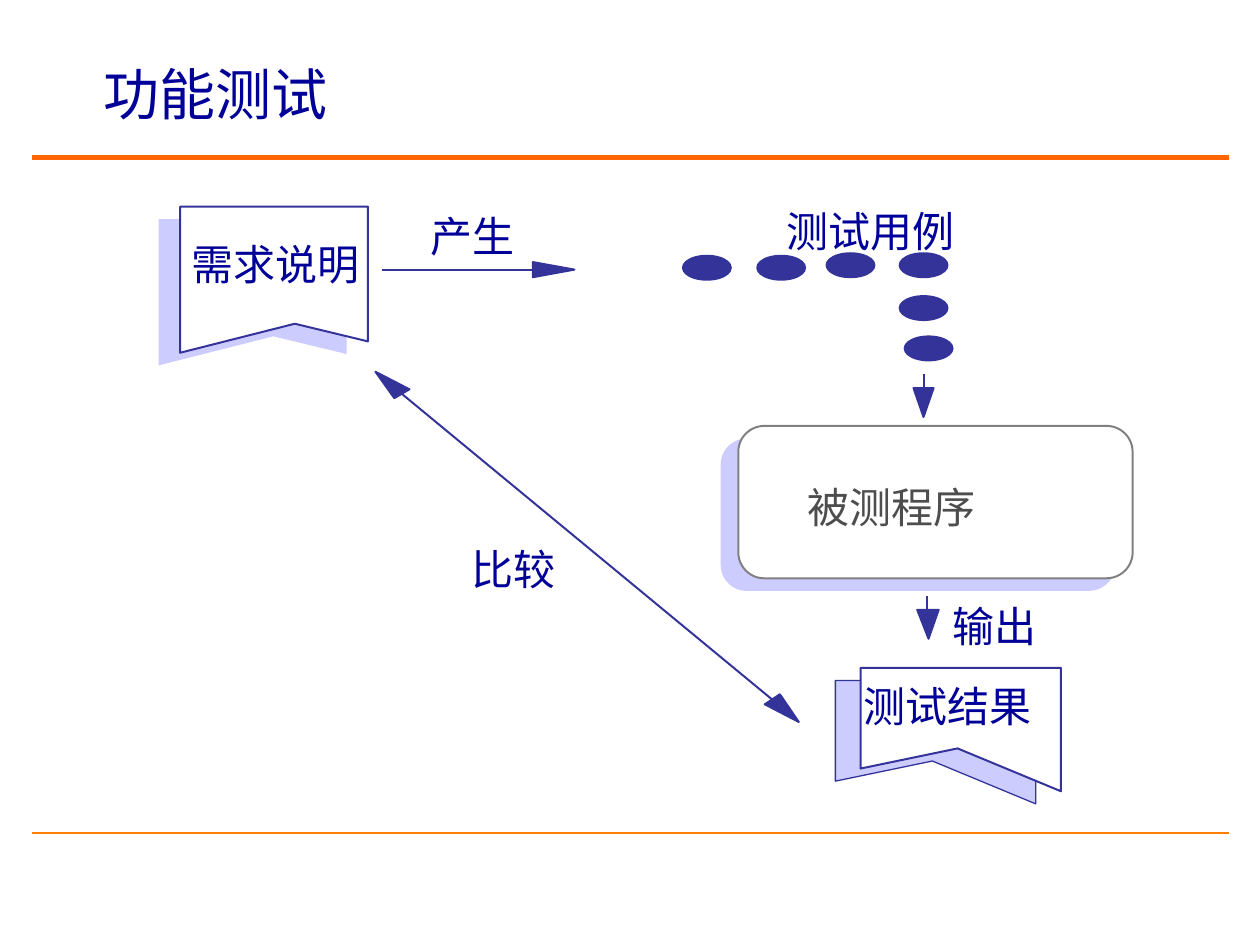
import pptx
import pptx.dml.color
import pptx.enum.shapes
import pptx.enum.text
import pptx.oxml.ns
import pptx.util
import lxml.etree
from dataclasses import dataclass


@dataclass(frozen=True)
class Theme:
    navy: str = "000099"
    indigo: str = "333399"
    lavender: str = "CCCCFF"
    white: str = "FFFFFF"
    gray: str = "808080"
    dark_gray: str = "4D4D4D"
    rule_top: str = "FF6600"
    rule_bottom: str = "FF7D00"
    title_font: str = "Arial"
    label_font: str = "Noto Sans CJK SC"
    title_size: float = 32
    title_spacing: float = 42
    label_size: float = 24
    outline: float = 1.13
    thin: float = 0.75


THEME = Theme()
COLUMNS, ROWS = 1000, 750
SLIDE_WIDTH, SLIDE_HEIGHT = pptx.util.Inches(10), pptx.util.Inches(7.5)
CELL = SLIDE_WIDTH // COLUMNS

TITLE = ("功能测试", (72, 25, 883, 92))
RULES = [(661, THEME.rule_bottom, 1), (125, THEME.rule_top, 3)]
RULE_MARGIN = 25

PROGRAM_BOX = (586, 338, 313, 121)
PROGRAM_SHADOW = (-14, 10)
PROGRAM_ROUNDING = 0.171

DOCUMENTS = [
    ([(143, 164), (143, 280), (234, 257), (292, 271), (292, 164)], (-17, 10), None),
    ([(683, 530), (683, 610), (760, 594), (842, 628), (842, 530)], (-20, 10), THEME.indigo),
]

ARROWS = [
    ((303, 214), (453, 214), [[(423, 208), (456, 214), (423, 220)]]),
    ((733, 297), (733, 328), [[(741, 308), (733, 331), (725, 308)]]),
    ((736, 473), (736, 505), [[(745, 484), (737, 507), (728, 484)]]),
    ((632, 571), (300, 297), [
        [(313, 316), (298, 295), (325, 309)],
        [(619, 551), (634, 573), (607, 559)],
    ]),
]

TEST_CASES = [(542, 203), (601, 203), (656, 201), (714, 201), (714, 235), (718, 267)]
TEST_CASE_SIZE = (38, 19)

LABELS = [
    ("被测程序", 641, 382, THEME.dark_gray),
    ("需求说明", 152, 189, THEME.navy),
    ("测试结果", 685, 540, THEME.navy),
    ("产生", 342, 167, THEME.navy),
    ("测试用例", 624, 163, THEME.navy),
    ("输出", 756, 477, THEME.navy),
    ("比较", 374, 431, THEME.navy),
]
CHARACTER_WIDTH, LABEL_HEIGHT = 33.33, 40


def grid(*cells):
    return [pptx.util.Emu(round(cell * CELL)) for cell in cells]


def rgb(color):
    return pptx.dml.color.RGBColor.from_string(color)


def paint(shape, fill, line=None, width=THEME.outline):
    shape.shadow.inherit = False
    shape.fill.solid()
    shape.fill.fore_color.rgb = rgb(fill)
    if line:
        shape.line.color.rgb = rgb(line)
        shape.line.width = pptx.util.Pt(width)
    else:
        shape.line.fill.background()


def add_preset(slide, kind, box, fill, line=None):
    shape = slide.shapes.add_shape(kind, *grid(*box))
    paint(shape, fill, line)
    return shape


def add_polygon(slide, points, fill, line=None, width=THEME.outline):
    builder = slide.shapes.build_freeform(*points[0], scale=CELL)
    builder.add_line_segments(points[1:], close=True)
    paint(builder.convert_to_shape(), fill, line, width)


def add_line(slide, start, end, color, width=THEME.outline):
    connector = slide.shapes.add_connector(
        pptx.enum.shapes.MSO_CONNECTOR.STRAIGHT, *grid(*start, *end))
    connector.line.color.rgb = rgb(color)
    connector.line.width = pptx.util.Pt(width)
    lxml.etree.SubElement(connector._element.spPr, pptx.oxml.ns.qn("a:effectLst"))


def add_text(slide, text, box, font, size, color):
    text_box = slide.shapes.add_textbox(*grid(*box))
    paragraph = text_box.text_frame.paragraphs[0]
    paragraph.text = text
    paragraph.font.name = font
    paragraph.font.size = pptx.util.Pt(size)
    paragraph.font.color.rgb = rgb(color)
    properties = paragraph._p.pPr.find(pptx.oxml.ns.qn("a:defRPr"))
    east_asian = lxml.etree.SubElement(properties, pptx.oxml.ns.qn("a:ea"))
    east_asian.set("typeface", THEME.label_font)
    return text_box.text_frame


def add_title(slide):
    text, box = TITLE
    frame = add_text(slide, text, box, THEME.title_font, THEME.title_size, THEME.navy)
    frame.word_wrap = True
    frame.vertical_anchor = pptx.enum.text.MSO_ANCHOR.MIDDLE
    frame.paragraphs[0].line_spacing = pptx.util.Pt(THEME.title_spacing)


def add_label(slide, text, left, top, color):
    box = (left, top, CHARACTER_WIDTH * len(text), LABEL_HEIGHT)
    frame = add_text(slide, text, box, THEME.label_font, THEME.label_size, color)
    frame.margin_left = frame.margin_right = frame.margin_top = frame.margin_bottom = 0
    frame.word_wrap = False
    frame.auto_size = pptx.enum.text.MSO_AUTO_SIZE.SHAPE_TO_FIT_TEXT


def add_program(slide):
    left, top, width, height = PROGRAM_BOX
    shift_x, shift_y = PROGRAM_SHADOW
    for box, fill, line in [
        ((left + shift_x, top + shift_y, width, height), THEME.lavender, None),
        (PROGRAM_BOX, THEME.white, THEME.gray),
    ]:
        shape = add_preset(
            slide, pptx.enum.shapes.MSO_SHAPE.ROUNDED_RECTANGLE, box, fill, line)
        shape.adjustments[0] = PROGRAM_ROUNDING


def main():
    presentation = pptx.Presentation()
    presentation.slide_width, presentation.slide_height = SLIDE_WIDTH, SLIDE_HEIGHT
    slide = presentation.slides.add_slide(presentation.slide_layouts[6])

    for row, color, width in RULES:
        add_line(slide, (RULE_MARGIN, row), (COLUMNS - RULE_MARGIN, row), color, width)
    add_title(slide)
    add_program(slide)
    for points, (shift_x, shift_y), shadow_line in DOCUMENTS:
        shadow = [(x + shift_x, y + shift_y) for x, y in points]
        add_polygon(slide, shadow, THEME.lavender, shadow_line, THEME.thin)
        add_polygon(slide, points, THEME.white, THEME.indigo)
    for start, end, heads in ARROWS:
        add_line(slide, start, end, THEME.indigo)
        for head in heads:
            add_polygon(slide, head, THEME.indigo, THEME.indigo)
    for position in TEST_CASES:
        add_preset(slide, pptx.enum.shapes.MSO_SHAPE.OVAL,
                   position + TEST_CASE_SIZE, THEME.indigo, THEME.indigo)
    for label in LABELS:
        add_label(slide, *label)

    presentation.save("out.pptx")


if __name__ == "__main__":
    main()
